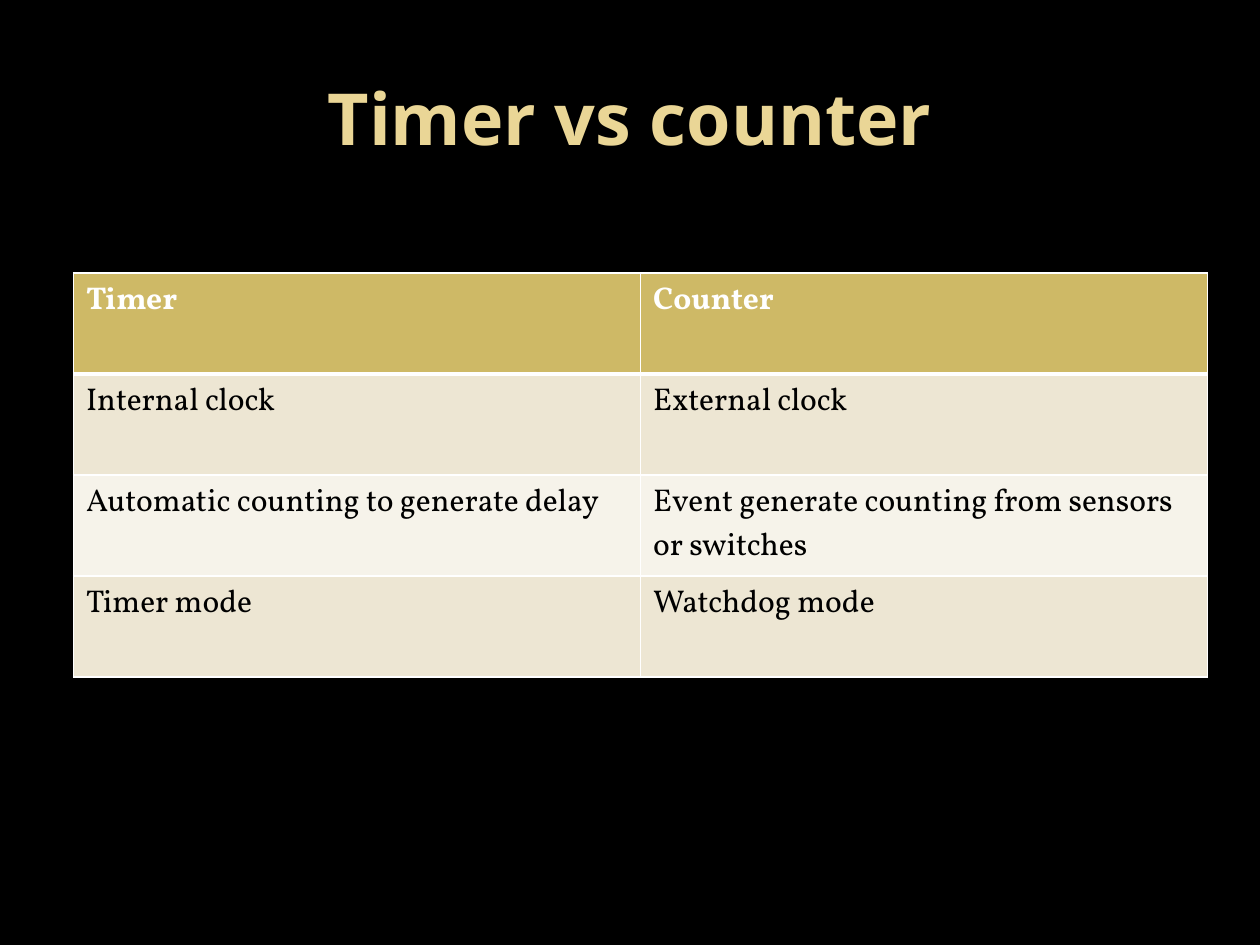
from dataclasses import dataclass

from lxml.etree import SubElement
from pptx import Presentation
from pptx.dml.color import RGBColor
from pptx.enum.text import MSO_ANCHOR, PP_ALIGN
from pptx.oxml.ns import qn
from pptx.util import Pt

TITLE = "Timer vs counter"
ROWS = [
    ("Timer", "Counter"),
    ("Internal clock", "External clock"),
    ("Automatic counting to generate delay", "Event generate counting from sensors or switches"),
    ("Timer mode", "Watchdog mode"),
]


@dataclass(frozen=True)
class Theme:
    background: str = "000000"
    title: str = "EAD696"
    header_fill: str = "CEB966"
    band_fills: tuple = ("EDE6D3", "F6F3EA")
    header_text: str = "FFFFFF"
    body_text: str = "000000"
    border: str = "FFFFFF"
    title_font: str = "Open Sans"
    table_font: str = "Vollkorn"
    title_size: int = 41
    table_size: int = 18


THEME = Theme()
TITLE_BOX = (36, 21.6, 648, 90)
TABLE_LEFT, TABLE_TOP, TABLE_WIDTH = 42, 156, 648
ROW_HEIGHT = 57.75
THIN, THICK = 1, 3


def style_font(font, name, size, color, bold):
    font.name = name
    font.size = Pt(size)
    font.bold = bold
    font.color.rgb = RGBColor.from_string(color)


def add_borders(cell, widths):
    properties = cell._tc.get_or_add_tcPr()
    for position, (side, width) in enumerate(widths.items()):
        line = properties.makeelement(qn(f"a:{side}"), {"w": str(Pt(width))})
        fill = SubElement(line, qn("a:solidFill"))
        SubElement(fill, qn("a:srgbClr"), val=THEME.border)
        properties.insert(position, line)


presentation = Presentation()
presentation.slide_width, presentation.slide_height = Pt(720), Pt(540)
slide = presentation.slides.add_slide(presentation.slide_layouts[5])
slide.background.fill.solid()
slide.background.fill.fore_color.rgb = RGBColor.from_string(THEME.background)

title = slide.shapes.title
title.left, title.top, title.width, title.height = map(Pt, TITLE_BOX)
title.text_frame.text = TITLE
title.text_frame.vertical_anchor = MSO_ANCHOR.MIDDLE
title_paragraph = title.text_frame.paragraphs[0]
title_paragraph.alignment = PP_ALIGN.CENTER
style_font(title_paragraph.font, THEME.title_font, THEME.title_size, THEME.title, True)

table = slide.shapes.add_table(
    len(ROWS), len(ROWS[0]), Pt(TABLE_LEFT), Pt(TABLE_TOP),
    Pt(TABLE_WIDTH), Pt(ROW_HEIGHT * len(ROWS)),
).table

for row_index, texts in enumerate(ROWS):
    table.rows[row_index].height = Pt(ROW_HEIGHT)
    is_header = row_index == 0
    fill_color = THEME.header_fill if is_header else THEME.band_fills[(row_index - 1) % 2]
    text_color = THEME.header_text if is_header else THEME.body_text
    borders = {
        "lnL": THIN,
        "lnR": THIN,
        "lnT": THICK if row_index == 1 else THIN,
        "lnB": THICK if is_header else THIN,
    }
    for column_index, text in enumerate(texts):
        cell = table.cell(row_index, column_index)
        cell.text = text
        cell.fill.solid()
        cell.fill.fore_color.rgb = RGBColor.from_string(fill_color)
        style_font(cell.text_frame.paragraphs[0].font, THEME.table_font,
                   THEME.table_size, text_color, is_header)
        add_borders(cell, borders)

presentation.save("out.pptx")
